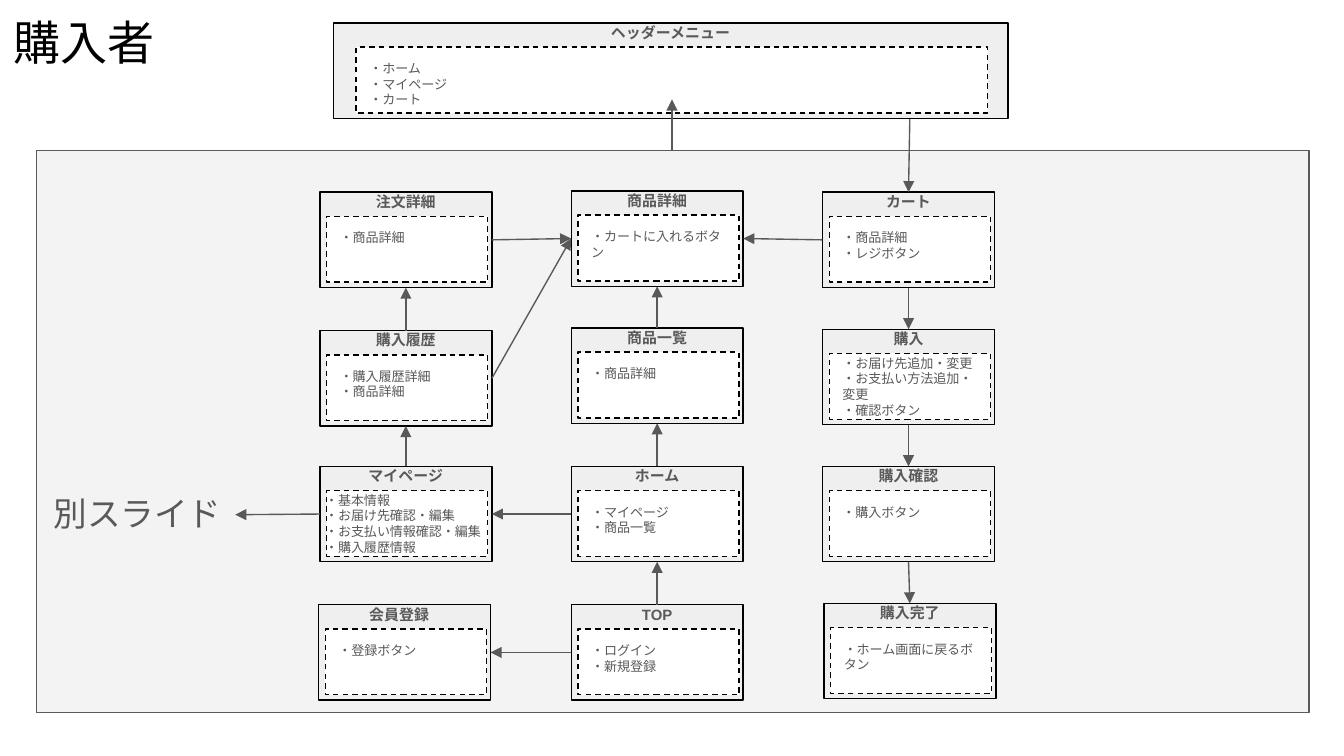
from lxml import etree
from pptx import Presentation
from pptx.dml.color import RGBColor
from pptx.enum.dml import MSO_LINE
from pptx.enum.lang import MSO_LANGUAGE_ID
from pptx.enum.shapes import MSO_CONNECTOR, MSO_SHAPE
from pptx.enum.text import MSO_ANCHOR, MSO_AUTO_SIZE, PP_ALIGN
from pptx.oxml.ns import qn
from pptx.util import Inches, Pt

RECT = MSO_SHAPE.RECTANGLE
STRAIGHT = MSO_CONNECTOR.STRAIGHT
DASH = MSO_LINE.DASH
JAPANESE = MSO_LANGUAGE_ID.JAPANESE
TOP_ANCHOR, MIDDLE = MSO_ANCHOR.TOP, MSO_ANCHOR.MIDDLE
LEFT, CENTER = PP_ALIGN.LEFT, PP_ALIGN.CENTER
NO_AUTOFIT = MSO_AUTO_SIZE.NONE
TOP_SIDE, LEFT_SIDE, BOTTOM_SIDE, RIGHT_SIDE = range(4)

FONT = "Arial"
COLORS = {"panel": "F3F3F3", "frame": "EFEFEF", "content": "FFFFFF",
          "text": "595959", "border": "000000", "title": "000000"}

SCREEN_W, SCREEN_H = 1.28, 0.71
HEADING_H, CONTENT_TOP, CONTENT_H = 0.14, 0.18, 0.49

SCREENS = {
    "注文詳細": (2.11, 0.31, ["商品詳細"]),
    "購入履歴": (2.11, 1.34, ["購入履歴詳細", "商品詳細"]),
    "マイページ": (2.11, 2.35, ["基本情報", "お届け先確認・編集",
                        "お支払い情報確認・編集", "購入履歴情報"]),
    "会員登録": (2.10, 3.38, ["登録ボタン"]),
    "商品詳細": (3.98, 0.30, ["カートに入れるボタン"]),
    "商品一覧": (3.98, 1.32, ["商品詳細"]),
    "ホーム": (3.98, 2.35, ["マイページ", "商品一覧"]),
    "TOP": (3.98, 3.38, ["ログイン", "新規登録"]),
    "カート": (5.85, 0.31, ["商品詳細", "レジボタン"]),
    "購入": (5.85, 1.33, ["お届け先追加・変更", "お支払い方法追加・変更", "確認ボタン"]),
    "購入確認": (5.85, 2.35, ["購入ボタン"]),
    "購入完了": (5.86, 3.37, ["ホーム画面に戻るボタン"]),
}
SCREEN_STYLES = {
    "マイページ": {"anchor": MIDDLE, "overhang": 0.11},
    "購入": {"anchor": MIDDLE},
    "会員登録": {"heading_shift": -0.04},
}

TRANSITIONS = [
    ("TOP", TOP_SIDE, "ホーム", BOTTOM_SIDE),
    ("ホーム", TOP_SIDE, "商品一覧", BOTTOM_SIDE),
    ("商品一覧", TOP_SIDE, "商品詳細", BOTTOM_SIDE),
    ("マイページ", TOP_SIDE, "購入履歴", BOTTOM_SIDE),
    ("購入履歴", TOP_SIDE, "注文詳細", BOTTOM_SIDE),
    ("カート", BOTTOM_SIDE, "購入", TOP_SIDE),
    ("購入", BOTTOM_SIDE, "購入確認", TOP_SIDE),
    ("購入確認", BOTTOM_SIDE, "購入完了", TOP_SIDE),
    ("TOP", LEFT_SIDE, "会員登録", RIGHT_SIDE),
    ("ホーム", LEFT_SIDE, "マイページ", RIGHT_SIDE),
    ("カート", LEFT_SIDE, "商品詳細", RIGHT_SIDE),
    ("注文詳細", RIGHT_SIDE, "商品詳細", LEFT_SIDE),
    ("購入履歴", RIGHT_SIDE, "商品詳細", LEFT_SIDE),
]


def rgb(name):
    """Return the named colour."""
    return RGBColor.from_string(COLORS[name])


def fill_text(frame, lines, size, color="text", bold=False, align=LEFT,
              anchor=TOP_ANCHOR, wrap=True):
    """Put lines of text into a frame and format them."""
    frame.text = "\n".join(lines)
    frame.auto_size = NO_AUTOFIT
    frame.word_wrap = wrap
    frame.vertical_anchor = anchor
    frame.margin_left = frame.margin_right = Inches(0.1)
    frame.margin_top = frame.margin_bottom = Inches(0.1)
    for paragraph in frame.paragraphs:
        paragraph.alignment = align
        for run in paragraph.runs:
            run.font.size = Pt(size)
            run.font.bold = bold
            run.font.name = FONT
            run.font.language_id = JAPANESE
            run.font.color.rgb = rgb(color)
            latin = run.font._element.find(qn("a:latin"))
            latin.addnext(etree.Element(qn("a:ea"), typeface=FONT))


def add_text(shapes, box, lines, size, **style):
    """Add a text box at the given box."""
    label = shapes.add_textbox(*map(Inches, box))
    fill_text(label.text_frame, lines, size, **style)


def add_rect(shapes, box, fill, border="border", dash=None):
    """Add a flat outlined rectangle."""
    rect = shapes.add_shape(RECT, *map(Inches, box))
    rect.shadow.inherit = False
    rect.fill.solid()
    rect.fill.fore_color.rgb = rgb(fill)
    rect.line.color.rgb = rgb(border)
    rect.line.width = Pt(0.75)
    if dash:
        rect.line.dash_style = dash
    return rect


def add_screen(slide, box, heading, items, pad=0.05, anchor=TOP_ANCHOR,
               overhang=0, heading_shift=0):
    """Add a grouped screen with heading and contents, and return its frame."""
    left, top, width, height = box
    shapes = slide.shapes.add_group_shape().shapes
    frame = add_rect(shapes, box, "frame")
    add_text(shapes, (left + heading_shift, top, width, HEADING_H), [heading], 8,
             bold=True, align=CENTER, anchor=MIDDLE)
    content_top, content_w = top + CONTENT_TOP, width - 2 * pad + 0.02
    add_rect(shapes, (left + pad, content_top, content_w, CONTENT_H), "content", dash=DASH)
    add_text(shapes, (left + pad - overhang, content_top, content_w + 2 * overhang, CONTENT_H),
             [f"・{item}" for item in items], 7, anchor=anchor)
    return frame


def add_arrow(slide, start=(0, 0), end=(0, 0)):
    """Add a straight arrow from start to end."""
    arrow = slide.shapes.add_connector(STRAIGHT, *map(Inches, (*start, *end)))
    arrow.line.color.rgb = rgb("text")
    arrow.line.width = Pt(0.75)
    outline = arrow.line._get_or_add_ln()
    etree.SubElement(outline, qn("a:tailEnd"), type="triangle")
    etree.SubElement(arrow._element.spPr, qn("a:effectLst"))
    return arrow


def add_title(slide, box):
    """Place and format the slide title."""
    title = slide.shapes.title
    title.left, title.top, title.width, title.height = map(Inches, box)
    fill_text(title.text_frame, ["購入者"], 25.2, color="title")


def add_header(slide, box):
    """Add the header menu."""
    add_screen(slide, box, "ヘッダーメニュー", ["ホーム", "マイページ", "カート"], pad=0.17)


def add_flow(slide, box):
    """Add the panel with its screens and the arrows between them."""
    add_rect(slide.shapes, box, "panel", border="text")
    left, top = box[:2]
    frames = {}
    for name, (x, y, items) in SCREENS.items():
        place = (left + x, top + y, SCREEN_W, SCREEN_H)
        frames[name] = add_screen(slide, place, name, items, **SCREEN_STYLES.get(name, {}))
    for source, source_side, target, target_side in TRANSITIONS:
        arrow = add_arrow(slide)
        arrow.begin_connect(frames[source], source_side)
        arrow.end_connect(frames[target], target_side)
    add_text(slide.shapes, (left + 0.03, top + 2.45, 1.45, 0.63),
             ["別スライド"], 18, wrap=False)
    to_other_slide = add_arrow(slide, end=(left + 1.48, top + 2.71))
    to_other_slide.begin_connect(frames["マイページ"], LEFT_SIDE)
    to_cart = add_arrow(slide, start=(left + 6.5, top - 0.25))
    to_cart.end_connect(frames["カート"], TOP_SIDE)


def main():
    """Build and save the presentation."""
    deck = Presentation()
    deck.slide_width = Inches(10)
    deck.slide_height = deck.slide_width * 9 // 16
    slide = deck.slides.add_slide(deck.slide_layouts[5])
    add_title(slide, (0, 0, 9.32, 0.63))
    add_flow(slide, (0.27, 1.12, 9.47, 4.18))
    add_header(slide, (2.48, 0.17, 5.02, SCREEN_H))
    add_arrow(slide, (5, 1.12), (5, 0.74))
    deck.save("out.pptx")


if __name__ == "__main__":
    main()
